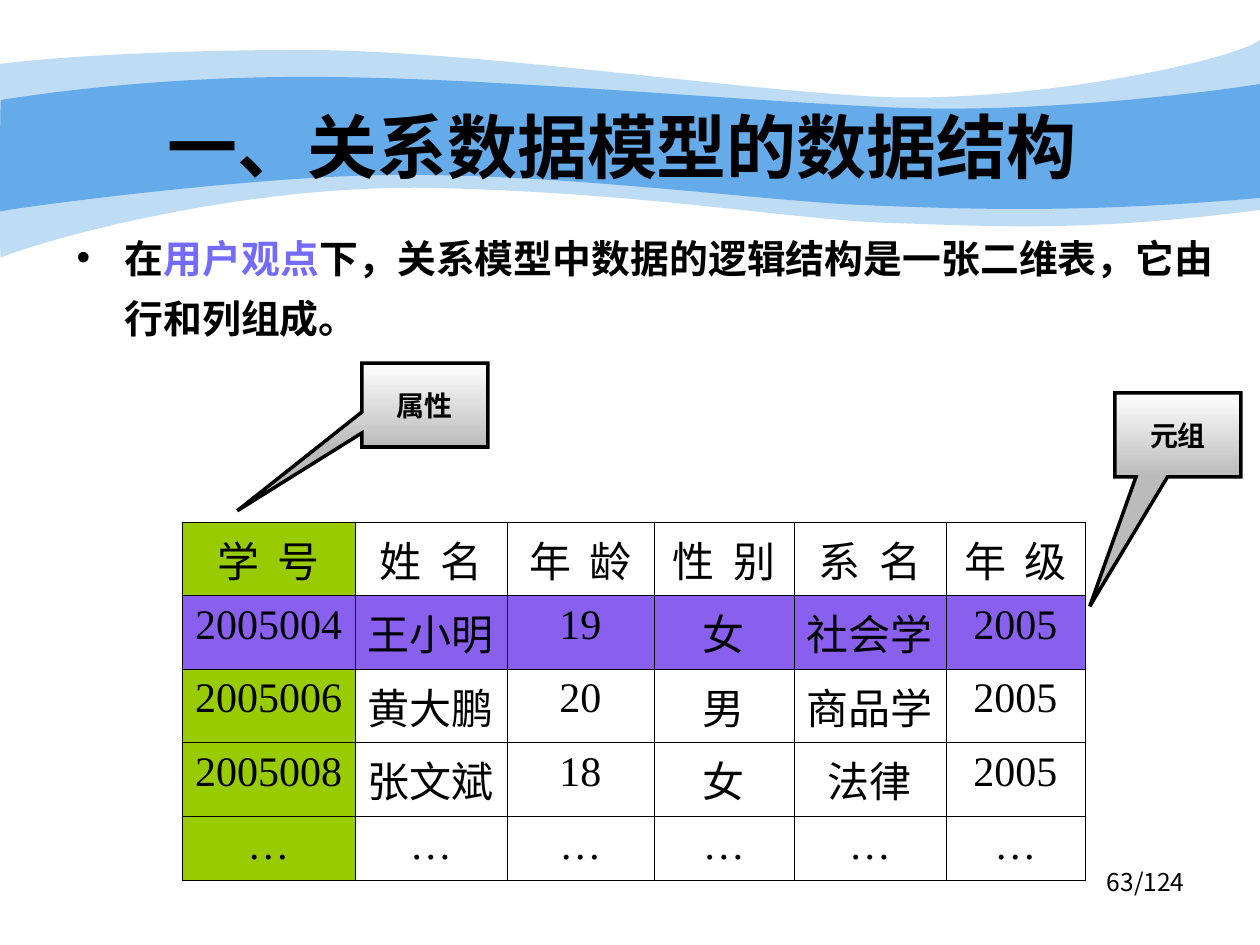
from lxml.etree import SubElement
from pptx import Presentation
from pptx.dml.color import RGBColor
from pptx.enum.shapes import MSO_SHAPE as SHAPE
from pptx.enum.text import MSO_ANCHOR as ANCHOR, MSO_AUTO_SIZE as AUTO_SIZE, PP_ALIGN as ALIGN
from pptx.oxml.ns import qn
from pptx.util import Emu, Pt

SCALE = 914400 / 126  # EMU per px
BLACK = RGBColor(0x00, 0x00, 0x00)
WHITE = RGBColor(0xFF, 0xFF, 0xFF)
GREY = RGBColor(0xBB, 0xBB, 0xBB)
BLUE = RGBColor(0x65, 0xAA, 0xE9)
LILAC = RGBColor(0x74, 0x6A, 0xFC)
GREEN = RGBColor(0x99, 0xCC, 0x00)
PURPLE = RGBColor(0x89, 0x60, 0xEE)
SANS, SERIF = "Noto Sans CJK SC", "Times New Roman"


def px(*lengths):
    return [Emu(round(length * SCALE)) for length in lengths]


def style(paragraph, size, name, align, bold=False, color=BLACK):
    paragraph.alignment = align
    for run in paragraph.runs:
        run.font.size, run.font.name = Pt(size), name
        run.font.bold, run.font.color.rgb = bold, color


presentation = Presentation()
presentation.slide_width, presentation.slide_height = px(1260, 945)
slide = presentation.slides.add_slide(presentation.slide_layouts[1])
shapes = slide.shapes

# Wavy bands behind the text: three cubic curves along the top, a straight
# right side, then three cubic curves back along the bottom and one up the left
BANDS = [
    (41, [(0, 64), (30, 60), (135, 50), (311, 50), (486, 52), (724, 89), (881, 97),
          (1036, 103), (1235, 60), (1260, 40)],
     [(1260, 210), (1081, 233), (992, 226), (888, 223), (784, 219), (649, 193), (432, 188),
      (217, 184), (5, 253), (1, 258), (-1, 265), (0, 97), (0, 64)]),
    (100, [(1, 100), (3, 100), (139, 76), (312, 77), (486, 77), (750, 102), (905, 108),
           (1060, 113), (1230, 89), (1260, 84)],
     [(1260, 198), (1075, 214), (964, 209), (859, 205), (755, 200), (563, 174), (399, 175),
      (256, 175), (-3, 210), (-1, 212), (0, 212), (0, 100), (1, 100)]),
]
for layer, (opacity, top_edge, bottom_edge) in enumerate(BANDS):
    builder = shapes.build_freeform(*top_edge[0], scale=SCALE)
    builder.add_line_segments(top_edge[1:] + bottom_edge, close=True)
    band = builder.convert_to_shape()
    # Turn each run of three line points into one cubic curve
    outline = band._element.spPr.find(".//" + qn("a:path"))
    lines = outline.findall(qn("a:lnTo"))
    corner = len(top_edge) - 1
    for curve_points in (lines[:corner], lines[corner + 1:]):
        for start in range(0, len(curve_points), 3):
            first, *others = curve_points[start:start + 3]
            first.tag = qn("a:cubicBezTo")
            for line in others:
                first.append(line[0])
                outline.remove(line)
    band.shadow.inherit = False
    band.fill.solid()
    band.fill.fore_color.rgb = BLUE
    band.line.fill.background()
    if opacity < 100:
        color = band._element.spPr.find(qn("a:solidFill"))[0]
        SubElement(color, qn("a:alpha"), val=str(opacity * 1000))
    shapes._spTree.insert(2 + layer, band._element)

# Title
title = shapes.title
title.left, title.top, title.width, title.height = px(63, 97, 1134, 117)
title.text_frame.text = "一、关系数据模型的数据结构 "
title.text_frame.vertical_anchor = ANCHOR.TOP
title.text_frame.auto_size = AUTO_SIZE.NONE
style(title.text_frame.paragraphs[0], 40, SANS, ALIGN.CENTER, True)

# Body with one highlighted phrase
body = slide.placeholders[1]
body.left, body.top, body.width, body.height = px(64, 214, 1163, 139)
body.text_frame.auto_size = AUTO_SIZE.NONE
paragraph = body.text_frame.paragraphs[0]
for text in ("在", "用户观点", "下，关系模型中数据的逻辑结构是一张二维表，它由行和列组成。"):
    paragraph.add_run().text = text
style(paragraph, 22.2, "Arial", ALIGN.JUSTIFY, True)
paragraph.runs[1].font.color.rgb = LILAC
paragraph.line_spacing, paragraph.space_before = 1.3, Pt(6)
indent = px(48)[0]
paragraph_properties = paragraph._p.get_or_add_pPr()
paragraph_properties.set("marL", str(indent))
paragraph_properties.set("indent", str(-indent))

# Student table
ROWS = [
    ["学  号", "姓  名", "年  龄", "性  别", "系  名", "年  级"],
    ["2005004", "王小明", "19", "女", "社会学", "2005"],
    ["2005006", "黄大鹏", "20", "男", "商品学", "2005"],
    ["2005008", "张文斌", "18", "女", "法律", "2005"],
    ["…"] * 6,
]
COLUMN_WIDTHS = [173, 152, 147, 140, 152, 139]
ROW_HEIGHT = 64
TUPLE_ROW, KEY_COLUMN = 1, 0
table = shapes.add_table(len(ROWS), len(COLUMN_WIDTHS), *px(
    182, 522, sum(COLUMN_WIDTHS), ROW_HEIGHT * len(ROWS))).table
table.first_row = table.horz_banding = False
for column, width in zip(table.columns, COLUMN_WIDTHS):
    column.width = px(width)[0]
for r, row in enumerate(ROWS):
    table.rows[r].height = px(ROW_HEIGHT)[0]
    for c, text in enumerate(row):
        cell = table.cell(r, c)
        cell.text_frame.text = text
        style(cell.text_frame.paragraphs[0], 24, SERIF, ALIGN.CENTER)
        properties = cell._tc.get_or_add_tcPr()
        for side in ("lnL", "lnR", "lnT", "lnB"):
            border = SubElement(properties, qn(f"a:{side}"), w=str(Pt(0.45)))
            fill = SubElement(border, qn("a:solidFill"))
            SubElement(fill, qn("a:srgbClr"), val=str(BLACK))
        if r == TUPLE_ROW or c == KEY_COLUMN:
            cell.fill.solid()
            cell.fill.fore_color.rgb = PURPLE if r == TUPLE_ROW else GREEN
        else:
            cell.fill.background()

# Callouts
for text, left, top, tip in (("属性", 362, 363, (-1.49, 1.26)), ("元组", 1115, 393, (-0.7, 2.04))):
    callout = shapes.add_shape(SHAPE.RECTANGULAR_CALLOUT, *px(left, top, 126, 84))
    callout.adjustments[0], callout.adjustments[1] = tip
    callout.shadow.inherit = False
    callout.fill.gradient()
    callout.fill.gradient_angle = 270
    for stop, color in zip(callout.fill.gradient_stops, (WHITE, GREY)):
        stop.color.rgb = color
    callout.line.color.rgb, callout.line.width = BLACK, Pt(2)
    SubElement(callout.line._get_or_add_ln(), qn("a:miter"), lim="800000")
    callout.text_frame.text = text
    callout.text_frame.vertical_anchor = ANCHOR.MIDDLE
    style(callout.text_frame.paragraphs[0], 16, SERIF, ALIGN.CENTER, True)

# Page number
page = shapes.add_textbox(*px(903, 861, 294, 66))
page.text_frame.word_wrap = True
page.text_frame.text = "63/124"
style(page.text_frame.paragraphs[0], 14, SANS, ALIGN.RIGHT)

presentation.save("out.pptx")
